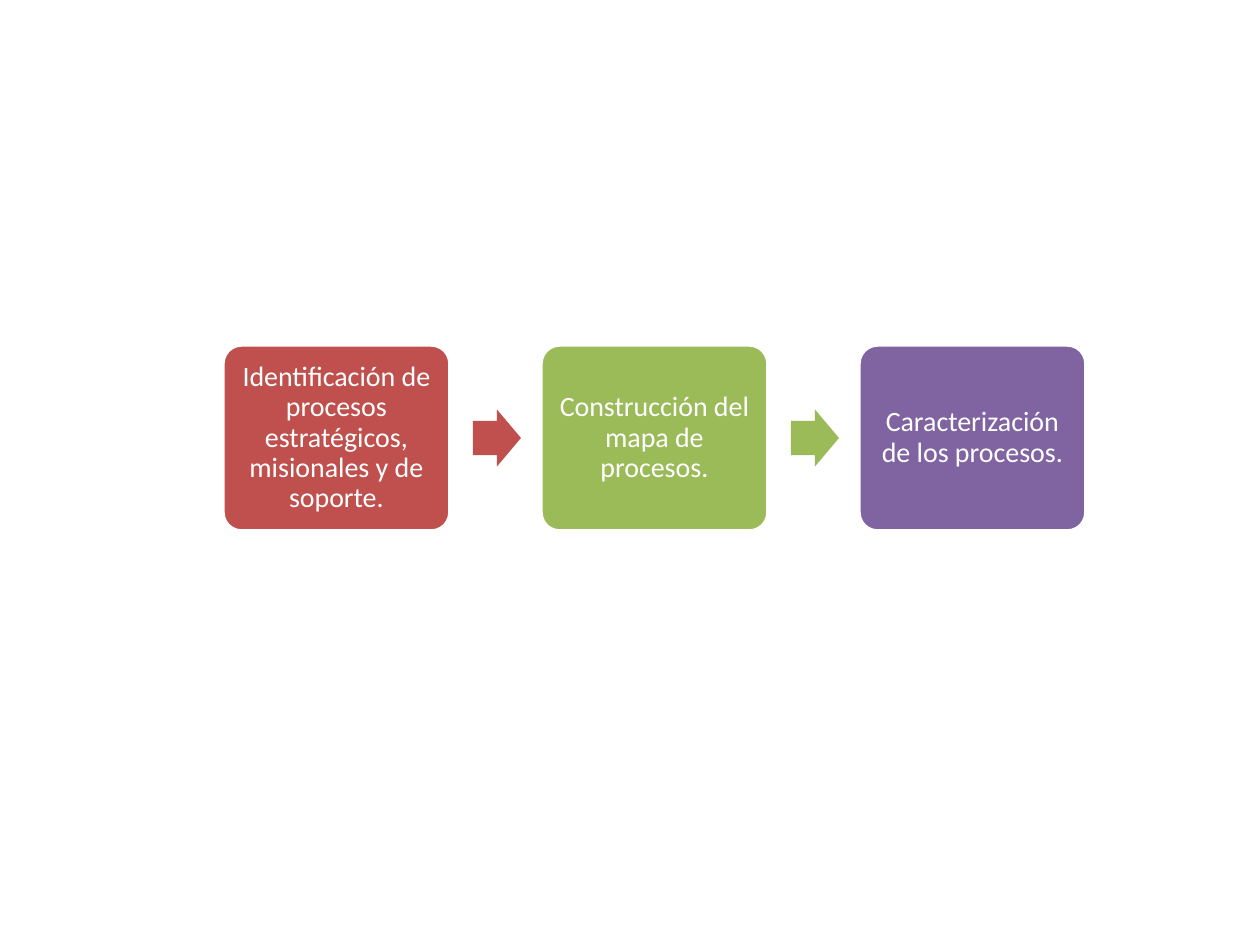
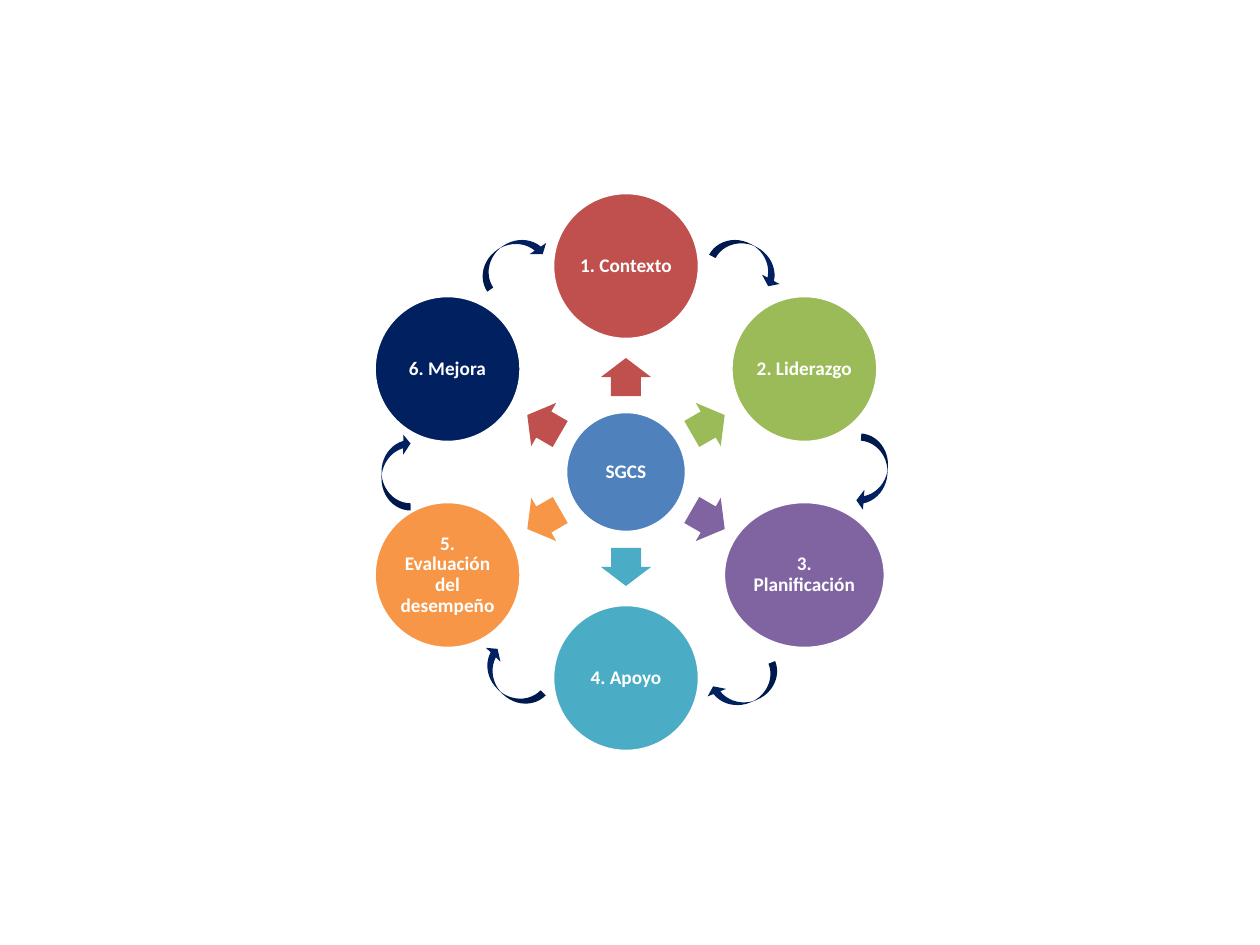
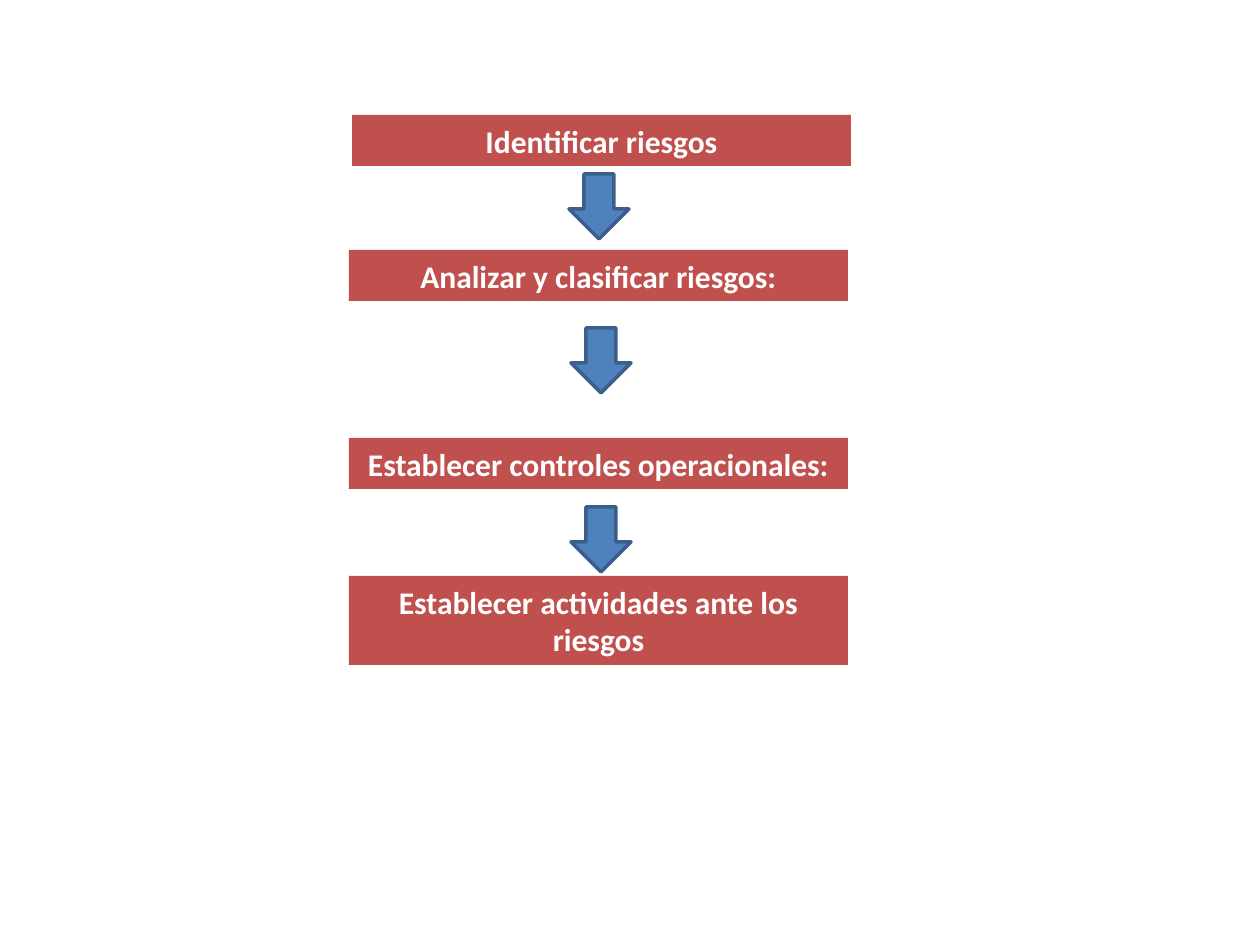
import math

import pptx
import pptx.dml.color
import pptx.enum.shapes
import pptx.enum.text
import pptx.util

EMU_PER_PX = 914400 / 126
SHAPES = pptx.enum.shapes.MSO_SHAPE
FONT = "Calibri"
BLANK_LAYOUT = 6

WHITE = "FFFFFF"
RED = "C0504D"
GREEN = "9BBB59"
PURPLE = "8064A2"
TEAL = "4BACC6"
ORANGE = "F79646"
NAVY = "002060"
BLUE = "4F81BD"
BLUE_EDGE = "3A5F8C"


def px(length):
    return pptx.util.Emu(round(length * EMU_PER_PX))


def color(hex_string):
    return pptx.dml.color.RGBColor.from_string(hex_string)


def add_block(slide, kind, left, top, width, height, fill, edge=None,
              rotation=0, adjustments=()):
    """Add a filled preset shape, outlined only when an edge colour is given."""
    block = slide.shapes.add_shape(
        kind, px(left), px(top), px(width), px(height))
    block.shadow.inherit = False
    block.rotation = rotation
    for index, value in enumerate(adjustments):
        block.adjustments[index] = value
    block.fill.solid()
    block.fill.fore_color.rgb = color(fill)
    if edge:
        block.line.color.rgb = color(edge)
        block.line.width = pptx.util.Pt(2)
    else:
        block.line.fill.background()
    return block


def add_centered(slide, kind, center_x, center_y, width, height, fill, **style):
    return add_block(slide, kind, center_x - width / 2, center_y - height / 2,
                     width, height, fill, **style)


def write_label(block, text, size, bold=False, inset=None, line_spacing=None):
    frame = block.text_frame
    frame.text = text
    frame.vertical_anchor = pptx.enum.text.MSO_ANCHOR.MIDDLE
    if inset is not None:
        frame.margin_left = frame.margin_right = px(inset)
        frame.margin_top = frame.margin_bottom = px(inset)
    para = frame.paragraphs[0]
    para.alignment = pptx.enum.text.PP_ALIGN.CENTER
    para.line_spacing = line_spacing
    font = para.runs[0].font
    font.name = FONT
    font.size = pptx.util.Pt(size)
    font.bold = bold
    font.color.rgb = color(WHITE)


def build_process_steps(slide):
    steps = [
        ("Identificación de procesos estratégicos, misionales y de soporte.", RED),
        ("Construcción del mapa de procesos.", GREEN),
        ("Caracterización de los procesos.", PURPLE),
    ]
    first_left, pitch, middle = 223, 318, 438
    width, height = 227, 186
    for index, (text, fill) in enumerate(steps):
        left = first_left + index * pitch
        step = add_block(slide, SHAPES.ROUNDED_RECTANGLE, left,
                         middle - height / 2, width, height, fill,
                         edge=WHITE, adjustments=(0.1,))
        write_label(step, text, 16, inset=9, line_spacing=0.9)
        if index < len(steps) - 1:
            add_centered(slide, SHAPES.RIGHT_ARROW, left + 274, middle, 48, 57,
                         fill, adjustments=(0.6, 0.5))


def add_circle(slide, text, center_x, center_y, width, height, fill):
    circle = add_centered(slide, SHAPES.OVAL, center_x, center_y, width, height,
                          fill, edge=WHITE)
    write_label(circle, text, 11, bold=True, inset=2, line_spacing=0.9)


def build_system_cycle(slide):
    hub_x, hub_y = 626, 472
    circle_radius, arrow_radius = 206, 95
    # Label, circle width, circle colour, arrow colour
    stages = [
        ("1. Contexto", 147, RED, RED),
        ("2. Liderazgo", 147, GREEN, GREEN),
        ("3. Planificación", 162, PURPLE, PURPLE),
        ("4. Apoyo", 147, TEAL, TEAL),
        ("5. Evaluación del desempeño", 147, ORANGE, ORANGE),
        ("6. Mejora", 147, NAVY, RED),
    ]
    add_circle(slide, "SGCS", hub_x, hub_y, 121, 121, BLUE)
    for index, (text, width, fill, arrow_fill) in enumerate(stages):
        degrees = (270 + index * 360 / len(stages)) % 360
        across = math.cos(math.radians(degrees))
        down = math.sin(math.radians(degrees))
        add_centered(slide, SHAPES.RIGHT_ARROW, hub_x + arrow_radius * across,
                     hub_y + arrow_radius * down, 38, 50, arrow_fill,
                     rotation=degrees, adjustments=(0.6, 0.5))
        add_circle(slide, text, hub_x + circle_radius * across,
                   hub_y + circle_radius * down, width, 147, fill)

    # Centre and rotation of each arrow from one stage to the next
    links = [(511, 258, 325.9), (750, 260, 28.1), (873, 473, 94.3),
             (745, 689, 157.8), (508, 679, 223.9), (396, 472, 270)]
    for center_x, center_y, rotation in links:
        add_centered(slide, SHAPES.CURVED_DOWN_ARROW, center_x, center_y, 77, 29,
                     NAVY, rotation=rotation, adjustments=(0.25, 0.69, 0.25))


def build_risk_steps(slide):
    bars = [
        ("Identificar riesgos", 352, 115, 51),
        ("Analizar y clasificar riesgos:", 349, 250, 51),
        ("Establecer controles operacionales:", 349, 438, 51),
        ("Establecer actividades ante los riesgos", 349, 576, 89),
    ]
    for text, left, top, height in bars:
        bar = add_block(slide, SHAPES.RECTANGLE, left, top, 499, height, RED)
        write_label(bar, text, 18, bold=True)
    for left, top in [(569, 174), (571, 328), (571, 507)]:
        add_block(slide, SHAPES.DOWN_ARROW, left, top, 60, 65, BLUE,
                  edge=BLUE_EDGE)


def main():
    deck = pptx.Presentation()
    deck.slide_width = px(1260)
    deck.slide_height = px(945)
    for build in (build_process_steps, build_system_cycle, build_risk_steps):
        build(deck.slides.add_slide(deck.slide_layouts[BLANK_LAYOUT]))
    deck.save("out.pptx")


if __name__ == "__main__":
    main()
